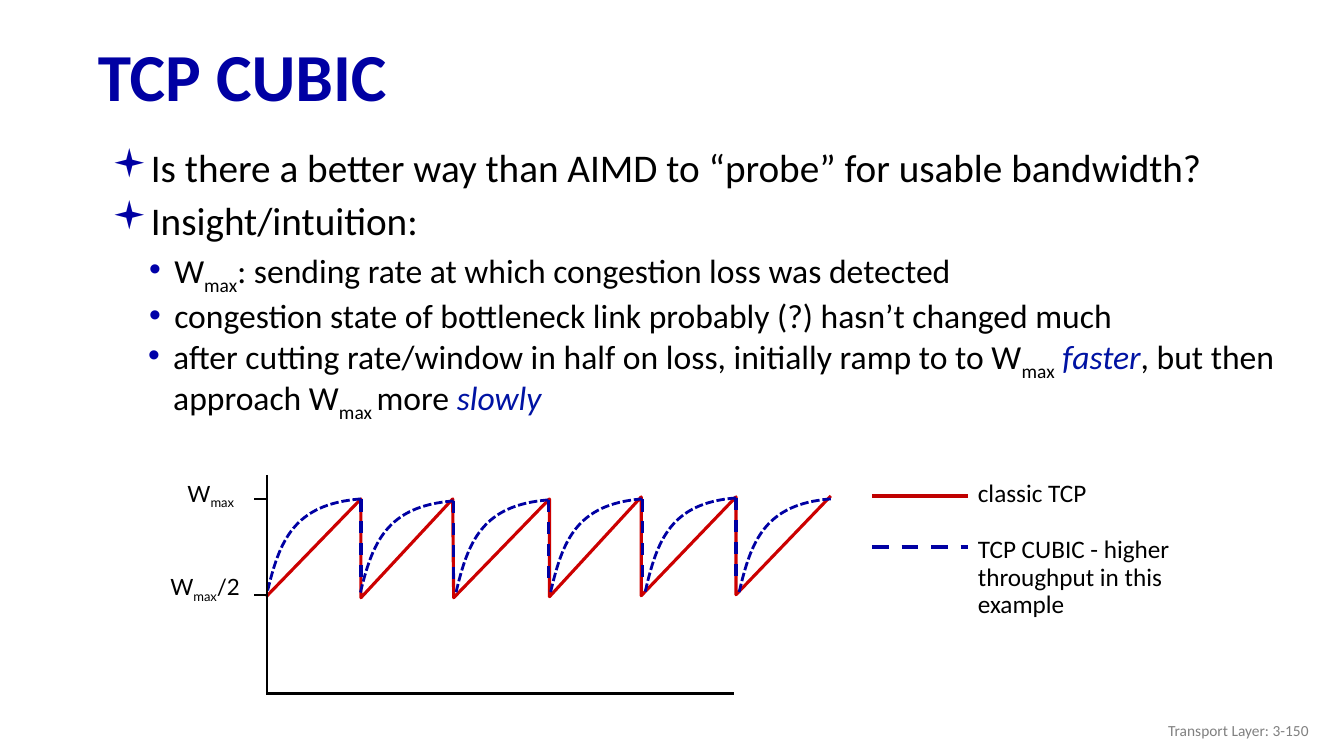
from lxml import etree
from pptx import Presentation
from pptx.dml.color import RGBColor
from pptx.enum.dml import MSO_LINE
from pptx.enum.shapes import MSO_CONNECTOR
from pptx.enum.text import MSO_ANCHOR, MSO_AUTO_SIZE, PP_ALIGN
from pptx.oxml.ns import qn
from pptx.util import Inches, Pt

STRAIGHT = MSO_CONNECTOR.STRAIGHT
DASH = MSO_LINE.DASH
DOTS = MSO_LINE.SQUARE_DOT
MIDDLE = MSO_ANCHOR.MIDDLE
FIT = MSO_AUTO_SIZE.SHAPE_TO_FIT_TEXT
LEFT, RIGHT = PP_ALIGN.LEFT, PP_ALIGN.RIGHT

COLORS = {"navy": "0000A3", "dot": "0000A8", "em": "0013A3", "red": "CC0000",
          "key": "C00000", "black": "000000", "gray": "808080"}


def write(par, runs, size, font="Calibri", color="black"):
    for text, kind in runs:
        run = par.add_run()
        run.text = text
        look = {"size": Pt(size), "name": font, "bold": kind == "bold",
                "italic": kind == "em"}
        for name, value in look.items():
            setattr(run.font, name, value)
        tone = "em" if kind == "em" else color
        run.font.color.rgb = RGBColor.from_string(COLORS[tone])
        if kind == "sub":
            run.font._element.set("baseline", "-25000")


def stroke(shape, color, width, dash=None):
    shape.line.color.rgb = RGBColor.from_string(COLORS[color])
    shape.line.width = Pt(width)
    if dash:
        shape.line.dash_style = dash


deck = Presentation()
deck.slide_width, deck.slide_height = Inches(13.33), Inches(7.5)
slide = deck.slides.add_slide(deck.slide_layouts[5])
shapes = slide.shapes

title = shapes.title
place = {"left": 0.87, "top": 0.3, "width": 12.46, "height": 0.98}
for name, value in place.items():
    setattr(title, name, Inches(value))
frame = title.text_frame
frame.vertical_anchor = MIDDLE
frame.auto_size = MSO_AUTO_SIZE.NONE
head = frame.paragraphs[0]
head.alignment = LEFT
head.line_spacing = 0.9
write(head, [("TCP CUBIC", "bold")], 48, color="navy")

levels = [
    {"size": 28, "indent": 0.5, "hang": -0.36, "gap": 10, "mark": "▪",
     "face": "Wingdings", "tone": "navy"},
    {"size": 24, "indent": 0.76, "hang": -0.25, "gap": 5, "mark": "•",
     "face": "Arial", "tone": "dot"},
]
bodies = [
    (0.87, 1.43, 5.08, [
        (0, [("Is there a better way than AIMD to “probe” for usable bandwidth?", "")]),
    ]),
    (0.87, 1.95, 5.08, [
        (0, [("Insight/intuition:", "")]),
        (1, [("W", ""), ("max", "sub"),
             (": sending rate at which congestion loss was detected", "")]),
        (1, [("congestion state of bottleneck link probably (?) hasn’t changed much", "")]),
    ]),
    (0.86, 3.29, 0.98, [
        (1, [("after cutting rate/window in half on loss, initially ramp to to W", ""),
             ("max", "sub"), (" faster", "em"), (", but then approach W", ""),
             ("max ", "sub"), ("more ", ""), ("slowly", "em")]),
    ]),
]
for x, y, tall, items in bodies:
    box = shapes.add_textbox(Inches(x), Inches(y), Inches(12.21), Inches(tall))
    frame = box.text_frame
    frame.word_wrap = True
    for i, (level, runs) in enumerate(items):
        par = frame.add_paragraph() if i else frame.paragraphs[0]
        form = levels[level]
        par.level = level
        par.line_spacing = 0.9
        par.space_before = Pt(form["gap"] if i else 0)
        props = par._p.get_or_add_pPr()
        props.set("marL", str(Inches(form["indent"])))
        props.set("indent", str(Inches(form["hang"])))
        tint = etree.SubElement(props, qn("a:buClr"))
        etree.SubElement(tint, qn("a:srgbClr"), val=COLORS[form["tone"]])
        etree.SubElement(props, qn("a:buFont"), typeface=form["face"])
        etree.SubElement(props, qn("a:buChar"), char=form["mark"])
        write(par, runs, form["size"])

peaks = [(3.58, 4.95), (4.49, 4.95), (5.45, 4.95), (6.36, 4.93), (7.3, 4.93), (8.24, 4.92)]
lows = [(3.58, 5.93), (4.5, 5.93), (5.45, 5.92), (6.36, 5.91), (7.3, 5.9)]
saw = [(2.64, 5.92)]
for peak, low in zip(peaks, lows):
    saw += [peak, low]
saw.append(peaks[-1])
paths = [(saw, "red", 2.25, None)]

lines = [
    (2.64, 6.88, 7.28, 6.88, "black", 1.5, None),
    (2.65, 4.71, 2.65, 6.89, "black", 1.5, None),
    (2.52, 4.95, 2.64, 4.95, "black", 1.5, None),
    (2.52, 5.9, 2.64, 5.9, "black", 1.5, None),
    (8.65, 4.92, 9.6, 4.92, "key", 3, None),
    (8.65, 5.43, 9.6, 5.43, "navy", 3, DASH),
]

arcs = [(2.65, 3.58, 4.95), (3.57, 4.5, 4.97), (4.52, 5.44, 4.96),
        (5.46, 6.37, 4.95), (6.4, 7.3, 4.94), (7.33, 8.24, 4.95)]
for start, end, top in arcs:
    wide = end - start
    knots = [(end, top), (end - 0.72 * wide, top + 0.05),
             (end - 0.87 * wide, top + 0.42), (start, top + 0.93)]
    paths.append((knots, "navy", 2, DOTS))
    if end != arcs[-1][1]:
        lines.append((end, top, end, top + 0.87, "navy", 2.25, DASH))

for points, color, width, dash in paths:
    points = [(Inches(x), Inches(y)) for x, y in points]
    pen = shapes.build_freeform(*points[0])
    pen.add_line_segments(points[1:], close=False)
    trace = pen.convert_to_shape()
    trace.fill.background()
    trace.shadow.inherit = False
    stroke(trace, color, width, dash)
    if dash:
        legs = list(trace._element.iter(qn("a:lnTo")))
        bend = etree.SubElement(legs[0].getparent(), qn("a:cubicBezTo"))
        for leg in legs:
            bend.append(leg[0])
            leg.getparent().remove(leg)

for x1, y1, x2, y2, color, width, dash in lines:
    line = shapes.add_connector(STRAIGHT, Inches(x1), Inches(y1), Inches(x2), Inches(y2))
    stroke(line, color, width, dash)
    etree.SubElement(line._element.spPr, qn("a:effectLst"))

wmax = [("W", ""), ("max", "sub")]
labels = [
    (1.76, 4.71, 0.68, 0.37, wmax, 16, "Lato", False),
    (1.59, 5.64, 0.89, 0.37, wmax + [("/2", "")], 16, "Lato", False),
    (9.6, 4.69, 1.29, 0.4, [("classic TCP", "")], 18, "Calibri", False),
    (9.6, 5.28, 2.39, 0.92,
     [("TCP CUBIC - higher throughput in this example", "")], 18, "Calibri", True),
]
for x, y, wide, tall, runs, size, font, wrap in labels:
    box = shapes.add_textbox(Inches(x), Inches(y), Inches(wide), Inches(tall))
    frame = box.text_frame
    frame.word_wrap = wrap
    frame.auto_size = FIT
    par = frame.paragraphs[0]
    if wrap:
        par.line_spacing = 0.9
    write(par, runs, size, font)

foot = shapes.add_textbox(Inches(10.08), Inches(7.05), Inches(3), Inches(0.4))
frame = foot.text_frame
frame.word_wrap = True
frame.vertical_anchor = MIDDLE
frame.paragraphs[0].alignment = RIGHT
write(frame.paragraphs[0], [("Transport Layer: 3-150", "")], 11, color="gray")

deck.save("out.pptx")
